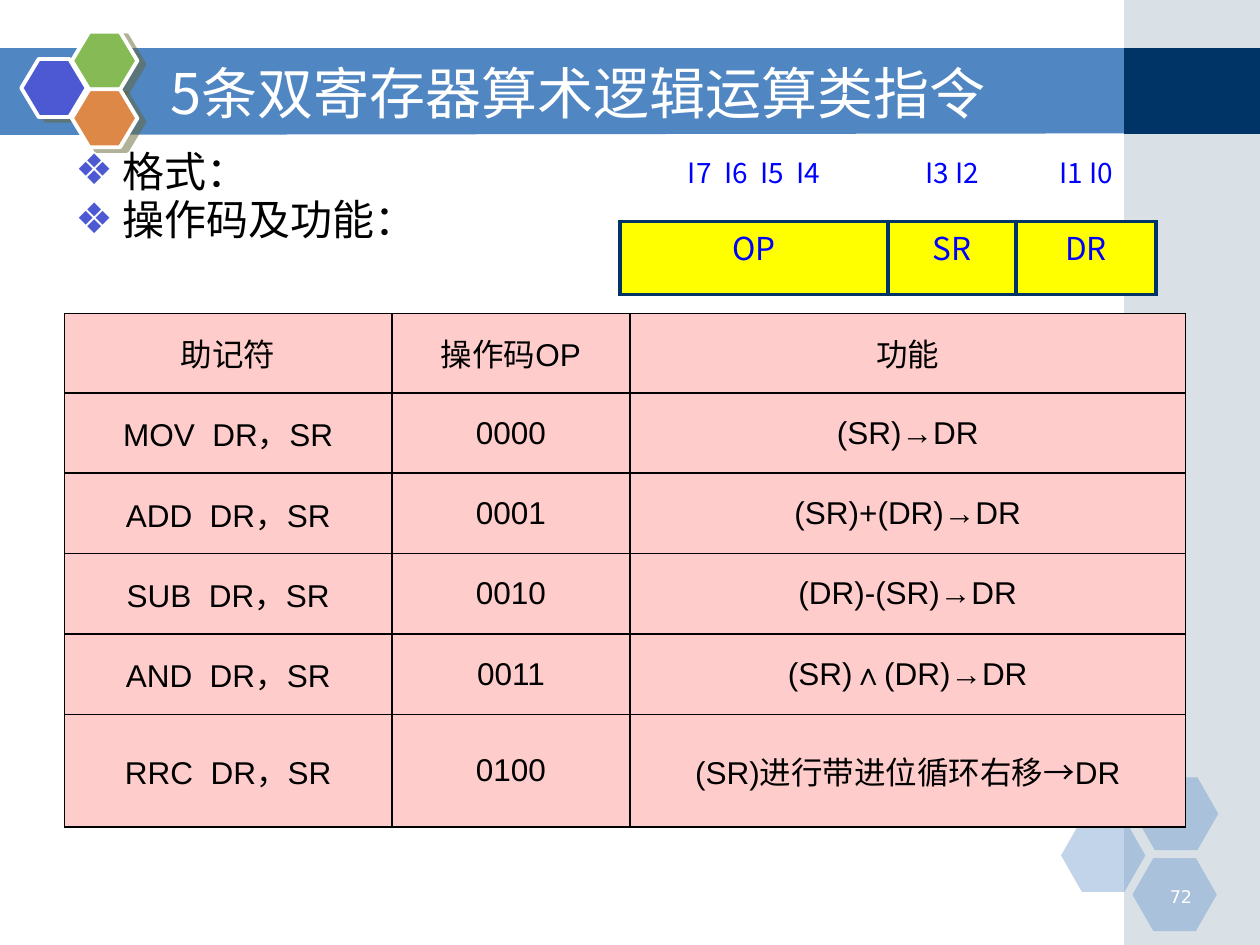
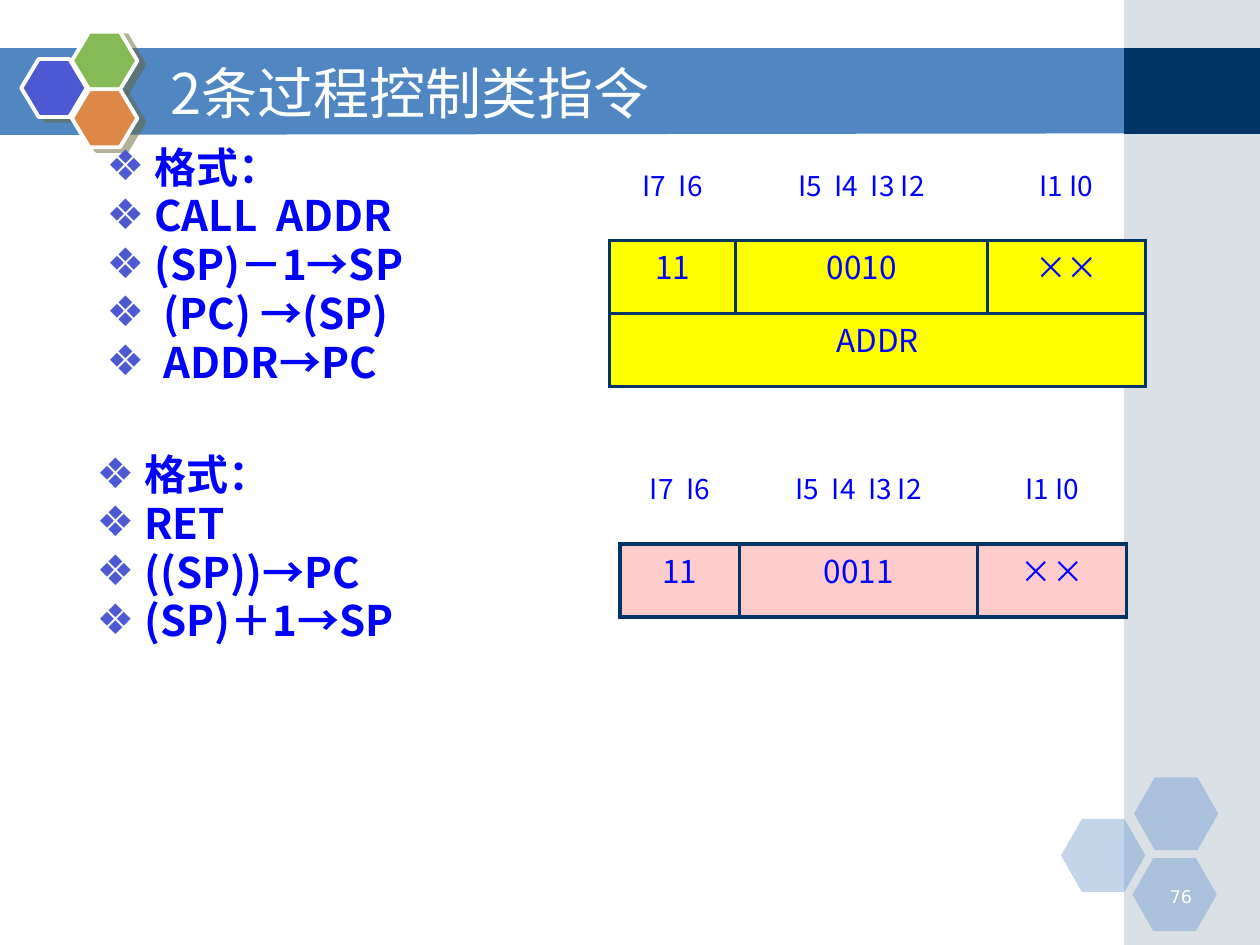
from dataclasses import dataclass

import pptx
import pptx.dml.color
import pptx.enum.shapes
import pptx.enum.text
import pptx.oxml.ns
import pptx.util
from lxml import etree

Cm = pptx.util.Cm
Pt = pptx.util.Pt
qn = pptx.oxml.ns.qn
KIND = pptx.enum.shapes.MSO_SHAPE
ALIGN = pptx.enum.text.PP_ALIGN
ANCHOR = pptx.enum.text.MSO_ANCHOR

CJK = "Noto Sans CJK SC"
SANS = "DejaVu Sans"
HUES = {
    "band": "5086C2", "side": "A0B5C4", "navy": "003366", "white": "FFFFFF",
    "black": "000000", "blue": "0000FF", "violet": "4C59D2", "green": "85BA54",
    "orange": "DE8848", "shade": "666633", "yellow": "FFFF00", "pink": "FFCCCC",
}


@dataclass(frozen=True)
class Box:
    """Place and size in centimetres."""
    left: float
    top: float
    width: float
    height: float

    def sides(self) -> tuple:
        return Cm(self.left), Cm(self.top), Cm(self.width), Cm(self.height)


@dataclass(frozen=True)
class Block:
    """A filled shape; a solid share below 100 lets the ground show through."""
    box: Box
    hue: str
    kind: int = KIND.HEXAGON
    solid: int = 100
    bend: float = 0.3
    badge: bool = False


@dataclass(frozen=True)
class Grid:
    left: float
    top: float
    cols: list
    rows: list
    cells: list
    hue: str


DECOR = [
    Block(Box(22.66, 0, 2.74, 19.05), "side", KIND.RECTANGLE, 40),
    Block(Box(22.66, 0.97, 2.74, 1.73), "navy", KIND.RECTANGLE),
    *[Block(Box(x, y, 1.7, 1.47), "band", solid=35, bend=0.286)
      for x, y in [(21.39, 16.51), (22.86, 15.67), (22.83, 17.3)]],
    *[Block(Box(x, y, 1.32, 1.17), hue, badge=True)
      for x, y, hue in [(0.43, 1.19, "violet"), (1.45, 0.64, "green"), (1.45, 1.8, "orange")]],
]


def tint(name: str):
    return pptx.dml.color.RGBColor.from_string(HUES[name])


def mark(para) -> None:
    """Give a paragraph a hanging diamond bullet."""
    props = para._p.get_or_add_pPr()
    props.set("marL", str(Cm(0.96)))
    props.set("indent", str(-Cm(0.96)))
    hue = etree.SubElement(props, qn("a:buClr"))
    etree.SubElement(hue, qn("a:srgbClr"), val=HUES["violet"])
    etree.SubElement(props, qn("a:buFont"), typeface=SANS)
    etree.SubElement(props, qn("a:buChar"), char="❖")


def write(frame, text: str, *, size: float, hue: str, font: str = CJK,
          bold: bool = False, align=ALIGN.LEFT, bullet: bool = False) -> None:
    frame.word_wrap = True
    for i, line in enumerate(text.split("\n")):
        para = frame.add_paragraph() if i else frame.paragraphs[0]
        if bullet:
            mark(para)
            para.line_spacing = 0.8
        if i:
            para.space_before = Pt(size * 0.2)
        para.alignment = align
        run = para.add_run()
        run.text = line
        run.font.size = Pt(size)
        run.font.bold = bold
        run.font.name = font
        run.font.color.rgb = tint(hue)
        etree.SubElement(run._r.get_or_add_rPr(), qn("a:ea"), typeface=CJK)


def label(slide, box: Box, text: str, anchor=ANCHOR.TOP, **look) -> None:
    frame = slide.shapes.add_textbox(*box.sides()).text_frame
    frame.vertical_anchor = anchor
    write(frame, text, **look)


def paint(shape, hue: str) -> None:
    shape.shadow.inherit = False
    shape.fill.solid()
    shape.fill.fore_color.rgb = tint(hue)
    shape.line.fill.background()


def fade(node, share: int) -> None:
    etree.SubElement(node, qn("a:alpha"), val=str(share * 1000))


def draw(slide, block: Block) -> None:
    shape = slide.shapes.add_shape(block.kind, *block.box.sides())
    paint(shape, block.hue)
    if block.kind == KIND.HEXAGON:
        shape.adjustments[0] = block.bend
    props = shape._element.spPr
    if block.solid < 100:
        fade(props.find(f"{qn('a:solidFill')}/{qn('a:srgbClr')}"), block.solid)
    if block.badge:
        shape.line.color.rgb = tint("white")
        shape.line.width = Pt(2.25)
        cast = etree.SubElement(props.find(qn("a:effectLst")), qn("a:outerShdw"),
                                dist=str(Pt(4.5)), dir=str(27 * 60000))
        fade(etree.SubElement(cast, qn("a:srgbClr"), val=HUES["shade"]), 50)


def frame_page(deck, title: str, number: int):
    """Add a slide with its band, hexagons, title and page number."""
    slide = deck.slides.add_slide(deck.slide_layouts[6])
    pen = slide.shapes.build_freeform(Cm(-0.03), Cm(0.97))
    pen.add_line_segments([(Cm(22.73), Cm(0.97)), (Cm(22.73), Cm(2.69)), (Cm(-0.03), Cm(2.72))])
    paint(pen.convert_to_shape(), "band")
    for block in DECOR:
        draw(slide, block)
    label(slide, Box(23.01, 17.73, 1.27, 0.64), str(number), size=10, hue="white",
          font=SANS, align=ALIGN.RIGHT)
    label(slide, Box(3.18, 1.07, 18.62, 1.57), title, ANCHOR.MIDDLE, size=32, hue="white")
    return slide


def edge(cell, sides: str, hue: str, width: float) -> None:
    """Line the named sides (of L, R, T, B) and clear the rest."""
    props = cell._tc.get_or_add_tcPr()
    for i, side in enumerate("LRTB"):
        line = etree.Element(qn(f"a:ln{side}"), w=str(Pt(width)))
        if side in sides:
            ink = etree.SubElement(line, qn("a:solidFill"))
            etree.SubElement(ink, qn("a:srgbClr"), val=HUES[hue])
        else:
            etree.SubElement(line, qn("a:noFill"))
        props.insert(i, line)


def lay(slide, grid: Grid):
    """Add an empty table with the grid's column widths and row heights."""
    box = Box(grid.left, grid.top, sum(grid.cols), sum(grid.rows))
    table = slide.shapes.add_table(len(grid.rows), len(grid.cols), *box.sides()).table
    table.first_row = table.horz_banding = False
    for col, width in zip(table.columns, grid.cols):
        col.width = Cm(width)
    for row, height in zip(table.rows, grid.rows):
        row.height = Cm(height)
    return table


def fill(cell, hue: str) -> None:
    cell.fill.solid()
    cell.fill.fore_color.rgb = tint(hue)


def add_bits(slide, grid: Grid) -> None:
    """Draw an instruction word: bit names above, framed fields below."""
    table = lay(slide, grid)
    for r, texts in enumerate(grid.cells):
        if len(texts) == 1:
            table.cell(r, 0).merge(table.cell(r, len(grid.cols) - 1))
        for c in range(len(grid.cols)):
            cell = table.cell(r, c)
            cell.margin_left = cell.margin_right = Cm(0.05)
            cell.margin_top = cell.margin_bottom = Cm(0.05)
            if r:
                fill(cell, grid.hue)
            else:
                cell.fill.background()
            edge(cell, "LRTB" if r else "B", "navy", 2.25)
            if c < len(texts):
                write(cell.text_frame, texts[c], size=18 if r else 16, hue="blue",
                      align=ALIGN.CENTER)


def add_codes(slide, grid: Grid) -> None:
    """Draw the table of mnemonics, codes and functions."""
    table = lay(slide, grid)
    for r, texts in enumerate(grid.cells):
        for c, text in enumerate(texts):
            cell = table.cell(r, c)
            cell.vertical_anchor = ANCHOR.MIDDLE
            fill(cell, grid.hue)
            edge(cell, "LRTB", "black", 1)
            write(cell.text_frame, text, size=18, hue="black", font="Arial",
                  align=ALIGN.CENTER)


def add_maths(deck) -> None:
    slide = frame_page(deck, "5条双寄存器算术逻辑运算类指令", 72)
    label(slide, Box(1.27, 3, 11.43, 4.09), "格式：\n操作码及功能：",
          size=24, hue="black", bullet=True)
    add_bits(slide, Grid(12.5, 3, [5.4, 2.58, 2.82], [1.47] * 2, [
        ["I7  I6  I5  I4", "I3 I2", "I1 I0"],
        ["OP", "SR", "DR"],
    ], "yellow"))
    codes = [
        ("MOV", "0000", "(SR)→DR"),
        ("ADD", "0001", "(SR)+(DR)→DR"),
        ("SUB", "0010", "(DR)-(SR)→DR"),
        ("AND", "0011", "(SR)∧(DR)→DR"),
        ("RRC", "0100", "(SR)进行带进位循环右移→DR"),
    ]
    add_codes(slide, Grid(1.3, 6.32, [6.6, 4.8, 11.2], [1.6, *[1.62] * 4, 2.27], [
        ["助记符", "操作码OP", "功能"],
        *[[f"{name}  DR，SR", code, work] for name, code, work in codes],
    ], "pink"))


def add_calls(deck) -> None:
    slide = frame_page(deck, "2条过程控制类指令", 76)
    look = dict(size=24, hue="blue", bold=True, bullet=True)
    bits = ["I7  I6", "I5  I4  I3 I2", "I1 I0"]
    label(slide, Box(1.9, 2.92, 10.16, 5.87),
          "格式：\nCALL  ADDR\n(SP)－1→SP\n (PC) →(SP)\n ADDR→PC", **look)
    add_bits(slide, Grid(12.29, 3.25, [2.54, 5.08, 3.18], [1.6, 1.47, 1.47],
                         [bits, ["11", "0010", "××"], ["ADDR"]], "yellow"))
    label(slide, Box(1.7, 9.12, 9.6, 4.6), "格式：\nRET\n((SP))→PC\n(SP)＋1→SP", **look)
    add_bits(slide, Grid(12.5, 9.37, [2.41, 4.8, 3], [1.6, 1.47],
                         [bits, ["11", "0011", "××"]], "pink"))


def main() -> None:
    deck = pptx.Presentation()
    deck.slide_width, deck.slide_height = Cm(25.4), Cm(19.05)
    add_maths(deck)
    add_calls(deck)
    deck.save("out.pptx")


if __name__ == "__main__":
    main()
